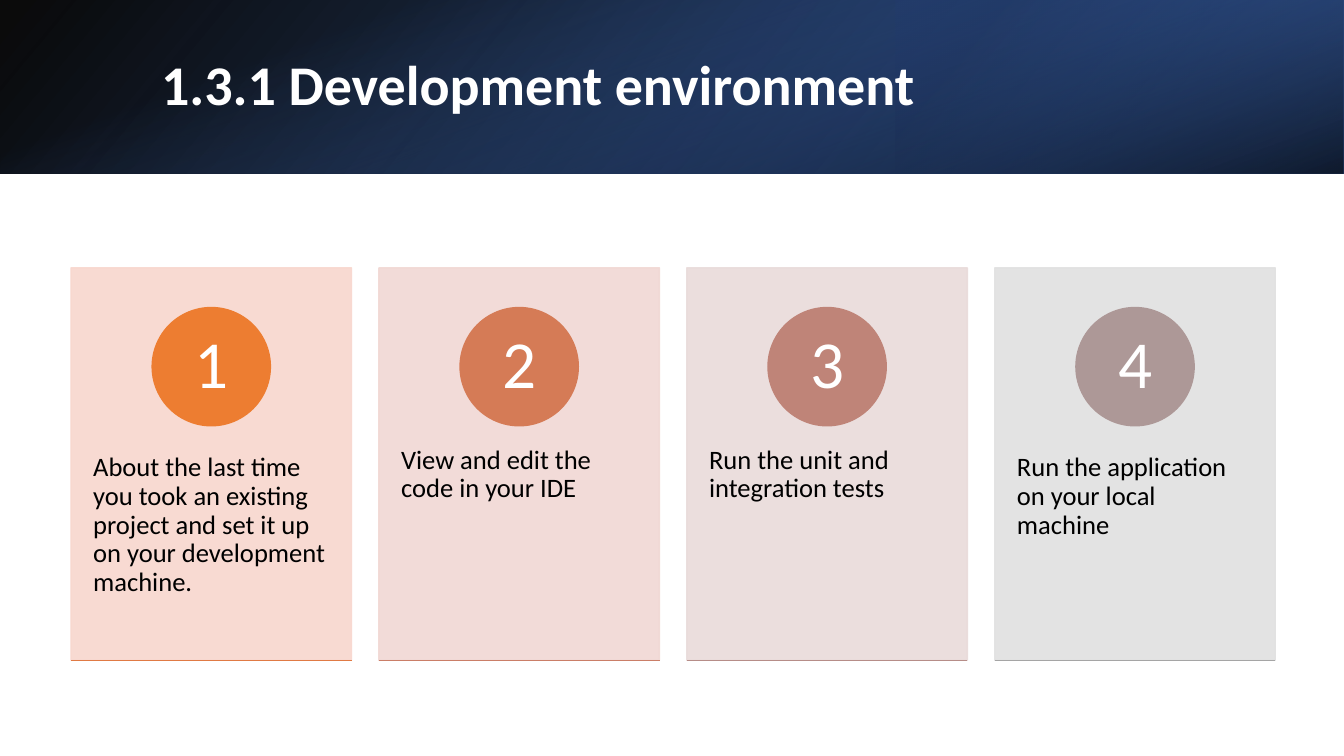
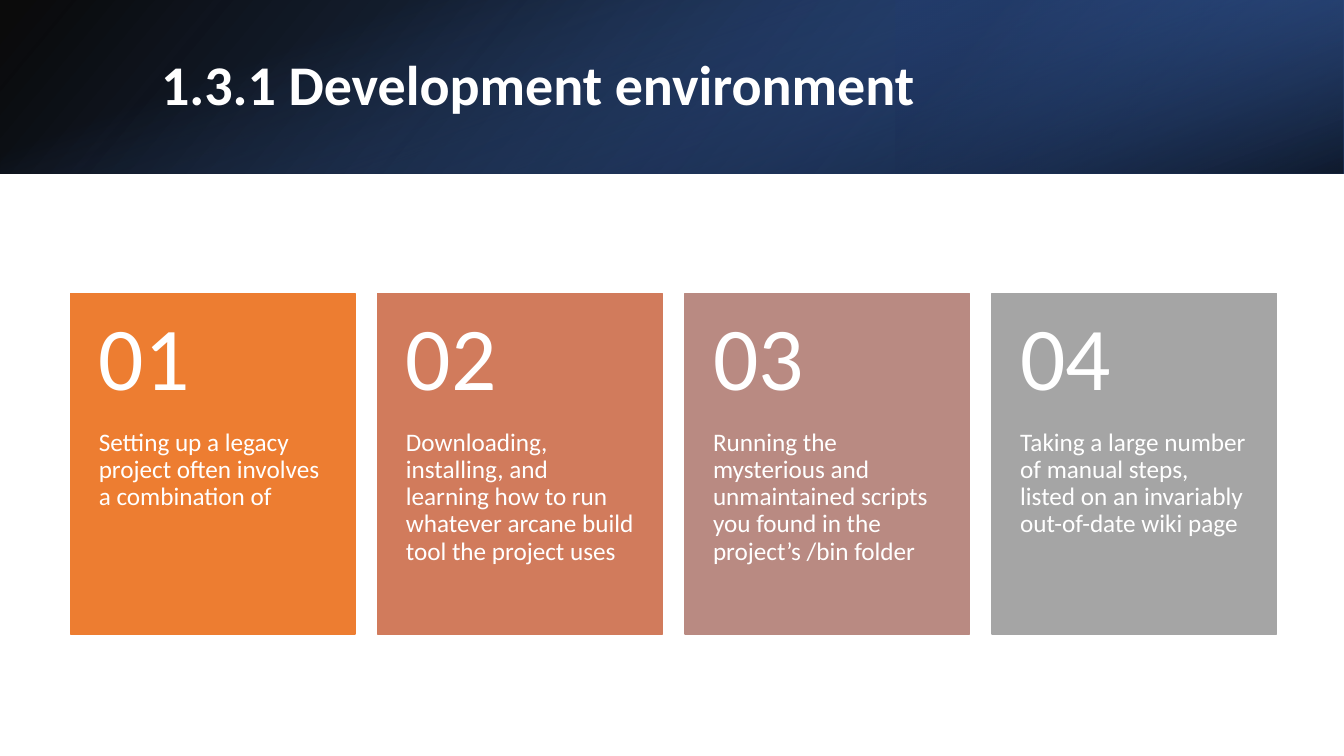
from lxml.etree import SubElement
from pptx import Presentation
from pptx.dml.color import RGBColor
from pptx.enum.shapes import MSO_CONNECTOR, MSO_SHAPE
from pptx.enum.text import MSO_ANCHOR, PP_ALIGN
from pptx.oxml.ns import qn
from pptx.util import Cm, Pt

COLOURS = {
    "white": "FFFFFF", "black": "000000", "navy": "203864",
    "deep blue": "2F5597", "blue": "4472C4",
}
SLIDE_WIDTH, SLIDE_HEIGHT = 33.87, 19.05
BAND_HEIGHT = 4.37
BAND_OFFSET = (SLIDE_WIDTH - BAND_HEIGHT) / 2
TITLE = "1.3.1 Development environment"

# Band layers: box, rotation, mirrored, angle, stops (position, colour, opacity)
BAND_LAYERS = [
    ((0, 0, SLIDE_WIDTH, BAND_HEIGHT), 0, True, 140,
     [(0, "black", 96), (1, "deep blue", 100)]),
    ((22.58, 0, 11.29, BAND_HEIGHT), 180, True, 320,
     [(0.19, "navy", 68), (1, "blue", 79)]),
    ((BAND_OFFSET, -BAND_OFFSET, BAND_HEIGHT, SLIDE_WIDTH), 90, False, 340,
     [(0.23, "blue", 0), (0.99, "black", 74)]),
]


def text_style(size, colour, margins, bold=False,
               anchor=MSO_ANCHOR.TOP, alignment=PP_ALIGN.LEFT):
    """Format values for the frame, the paragraph and the font."""
    sides = ("margin_left", "margin_top", "margin_right", "margin_bottom")
    return {
        "frame": {"word_wrap": True, "vertical_anchor": anchor,
                  **{side: Cm(margin) for side, margin in zip(sides, margins)}},
        "paragraph": {"line_spacing": 0.9, "alignment": alignment},
        "font": {"name": "Calibri", "size": Pt(size), "bold": bold},
        "colour": COLOURS[colour],
    }


STYLES = {
    "title": text_style(40, "white", (0.25, 0.13, 0.25, 0.13), True,
                        MSO_ANCHOR.MIDDLE),
    "step": text_style(19, "black", (0.56, 0.91, 0.56, 0.91)),
    "badge": text_style(48, "white", (0.23, 0.03, 0.23, 0.03), False,
                        MSO_ANCHOR.MIDDLE, PP_ALIGN.CENTER),
    "task": text_style(18, "white", (0.71, 0, 0.71, 0.91)),
    "number": text_style(64, "white", (0.71, 0.46, 0.71, 0.46), False,
                         MSO_ANCHOR.MIDDLE),
}

# Text, card colour, badge colour, base line colour
STEPS = [
    ("About the last time you took an existing project and set it up "
     "on your development machine.", "F8D7CE", "ED7D31", "E07A44"),
    ("View and edit the code in your IDE", "F1D8D4", "D57B56", "CA7E67"),
    ("Run the unit and integration tests", "E9DBDA", "BF8478", "B68D88"),
    ("Run the application on your local machine", "E1E1E1", "AD9897", "A5A5A5"),
]

# Text, card colour
TASKS = [
    ("Setting up a legacy project often involves a combination of", "ED7D31"),
    ("Downloading, installing, and learning how to run whatever arcane "
     "build tool the project uses", "D17B5C"),
    ("Running the mysterious and unmaintained scripts you found in the "
     "project’s /bin folder", "B98A82"),
    ("Taking a large number of manual steps, listed on an invariably "
     "out-of-date wiki page", "A5A5A5"),
]


def set_values(target, values):
    for name, value in values.items():
        setattr(target, name, value)


def set_opacity(shape, percents):
    """Give each colour of the shape its opacity, in document order."""
    colours = list(shape._element.spPr.iter(qn("a:srgbClr")))
    for colour, percent in zip(colours, percents):
        SubElement(colour, qn("a:alpha")).set("val", str(percent * 1000))


def write(shape, text, style):
    frame = shape.text_frame
    paragraph = frame.paragraphs[0]
    run = paragraph.add_run()
    run.text = text
    set_values(frame, style["frame"])
    set_values(paragraph, style["paragraph"])
    set_values(run.font, style["font"])
    run.font.color.rgb = RGBColor.from_string(style["colour"])


def add_text(slide, box, text, style):
    write(slide.shapes.add_textbox(*map(Cm, box)), text, style)


def add_solid(slide, kind, box, colour):
    shape = slide.shapes.add_shape(kind, *map(Cm, box))
    shape.shadow.inherit = False
    shape.fill.solid()
    shape.line.width = Pt(1)
    for part in (shape.fill.fore_color, shape.line.color):
        part.rgb = RGBColor.from_string(colour)
    return shape


def add_base_line(slide, left, top, width, colour):
    line = slide.shapes.add_connector(
        MSO_CONNECTOR.STRAIGHT, Cm(left), Cm(top), Cm(left + width), Cm(top))
    line.line.width = Pt(1)
    line.line.color.rgb = RGBColor.from_string(colour)
    SubElement(line._element.spPr, qn("a:effectLst"))


def add_band_layer(slide, box, rotation, mirrored, angle, stops):
    layer = slide.shapes.add_shape(MSO_SHAPE.RECTANGLE, *map(Cm, box))
    layer.shadow.inherit = False
    layer.rotation = rotation
    if mirrored:
        layer._element.spPr.xfrm.set("flipH", "1")
    layer.fill.gradient()
    layer.fill.gradient_angle = 360 - angle  # counter-clockwise
    for stop, (position, colour, _) in zip(layer.fill.gradient_stops, stops):
        stop.position = position
        stop.color.rgb = RGBColor.from_string(COLOURS[colour])
    layer.line.fill.background()
    set_opacity(layer, [opacity for _, _, opacity in stops])


def add_titled_slide(presentation):
    slide = presentation.slides.add_slide(presentation.slide_layouts[6])
    for layer in BAND_LAYERS:
        add_band_layer(slide, *layer)
    add_text(slide, (3.81, 0.97, 27.89, 2.44), TITLE, STYLES["title"])
    return slide


def add_step_cards(slide):
    """Pale cards with a round number badge and a base line."""
    first_left, pitch, top, width, height, badge = 1.79, 7.76, 6.75, 7.07, 9.89, 2.98
    for index, (text, card_colour, badge_colour, line_colour) in enumerate(STEPS):
        left = first_left + index * pitch
        card = add_solid(slide, MSO_SHAPE.RECTANGLE,
                         (left, top, width, height), card_colour)
        set_opacity(card, [90, 90])
        add_text(slide, (left, top + 3.77, width, 5.92), text, STYLES["step"])
        circle = add_solid(
            slide, MSO_SHAPE.OVAL,
            (left + (width - badge) / 2, top + 1, badge, badge), badge_colour)
        write(circle, str(index + 1), STYLES["badge"])
        add_base_line(slide, left, top + height, width, line_colour)


def add_task_cards(slide):
    """Solid cards with a large number above the text."""
    first_left, pitch, top, width, height, head = 1.78, 7.74, 7.39, 7.17, 8.59, 3.43
    for index, (text, colour) in enumerate(TASKS):
        left = first_left + index * pitch
        add_solid(slide, MSO_SHAPE.RECTANGLE, (left, top, width, height), colour)
        add_text(slide, (left, top + head, width, height - head),
                 text, STYLES["task"])
        add_text(slide, (left, top, width, head),
                 f"{index + 1:02}", STYLES["number"])


def main():
    presentation = Presentation()
    set_values(presentation, {"slide_width": Cm(SLIDE_WIDTH),
                              "slide_height": Cm(SLIDE_HEIGHT)})
    for add_cards in (add_step_cards, add_task_cards):
        add_cards(add_titled_slide(presentation))
    presentation.save("out.pptx")


if __name__ == "__main__":
    main()
